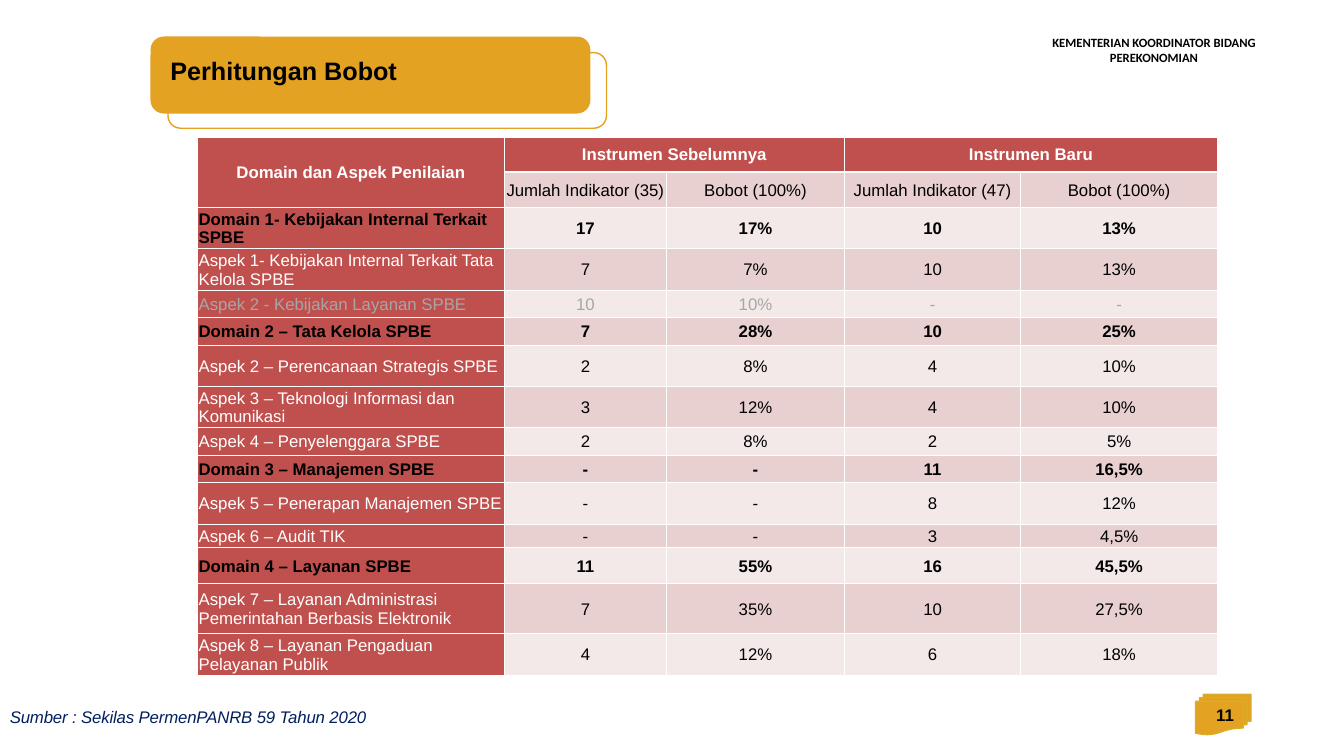
from lxml import etree
from pptx import Presentation
from pptx import util as u
from pptx.dml import color
from pptx.enum import shapes, text
from pptx.oxml import ns

Pt = u.Pt
GOLD, RED, WHITE, BLACK, GREY = "E3A221", "C0504D", "FFFFFF", "000000", "A6A6A6"
BANDS = ("F4E9E9", "E8D0D0")
CENTER, RIGHT, LEFT = text.PP_ALIGN.CENTER, text.PP_ALIGN.RIGHT, text.PP_ALIGN.LEFT

COLUMN_WIDTHS = (219, 116, 127, 126, 140.5)
ROW_HEIGHTS = (25.2, 25.2, 29.5, 29.5, 19.7, 19.7, 29.5, 29.5,
               19.7, 19.7, 29.5, 16.9, 25.7, 35.8, 29.7)
HEADINGS = [
    ("Domain dan Aspek Penilaian", "Instrumen Sebelumnya", "", "Instrumen Baru", ""),
    ("", "Jumlah Indikator (35)", "Bobot (100%)", "Jumlah Indikator (47)", "Bobot (100%)"),
]
WEIGHTS = [
    ("Domain 1- Kebijakan Internal Terkait SPBE", "17", "17%", "10", "13%"),
    ("Aspek 1- Kebijakan Internal Terkait Tata Kelola SPBE", "7", "7%", "10", "13%"),
    ("Aspek 2 - Kebijakan Layanan SPBE", "10", "10%", "-", "-"),
    ("Domain 2 – Tata Kelola SPBE", "7", "28%", "10", "25%"),
    ("Aspek 2 – Perencanaan Strategis SPBE", "2", "8%", "4", "10%"),
    ("Aspek 3 – Teknologi Informasi dan Komunikasi", "3", "12%", "4", "10%"),
    ("Aspek 4 – Penyelenggara SPBE", "2", "8%", "2", "5%"),
    ("Domain 3 – Manajemen SPBE", "-", "-", "11", "16,5%"),
    ("Aspek 5 – Penerapan Manajemen SPBE", "-", "-", "8", "12%"),
    ("Aspek 6 – Audit TIK", "-", "-", "3", "4,5%"),
    ("Domain 4 – Layanan SPBE", "11", "55%", "16", "45,5%"),
    ("Aspek 7 – Layanan Administrasi Pemerintahan Berbasis Elektronik",
     "7", "35%", "10", "27,5%"),
    ("Aspek 8 – Layanan Pengaduan Pelayanan Publik", "4", "12%", "6", "18%"),
]
DROPPED_ASPECT = "Aspek 2 - Kebijakan Layanan SPBE"


def rgb(value):
    return color.RGBColor.from_string(value)


def write(frame, words, size, ink=BLACK, align=LEFT, font="Arial", bold=False, italic=False):
    paragraph = frame.paragraphs[0]
    paragraph.alignment = align
    run = paragraph.add_run()
    run.text = words
    run.font.name, run.font.size = font, Pt(size)
    run.font.bold, run.font.italic = bold, italic
    run.font.color.rgb = rgb(ink)
    return run


def text_box(slide, left, top, width, height):
    frame = slide.shapes.add_textbox(Pt(left), Pt(top), Pt(width), Pt(height)).text_frame
    frame.word_wrap = True
    return frame


def gold_shape(slide, kind, left, top, width, height, filled=True, edge=GOLD):
    shape = slide.shapes.add_shape(kind, Pt(left), Pt(top), Pt(width), Pt(height))
    shape.shadow.inherit = False
    if filled:
        shape.fill.solid()
        shape.fill.fore_color.rgb = rgb(GOLD)
    else:
        shape.fill.background()
    shape.line.color.rgb = rgb(edge)
    shape.line.width = Pt(1)


def add_banner(slide, left, top, width, height):
    # Gold tab with its offset outline
    rounded = shapes.MSO_SHAPE.ROUNDED_RECTANGLE
    gold_shape(slide, rounded, left, top, width, height)
    gold_shape(slide, rounded, left + 12, top + 11, width, height, filled=False)

    # Title, brought in front of the tab
    title = slide.shapes.title
    title.left, title.top = Pt(left + 6.5), Pt(top + 9.5)
    title.width, title.height = Pt(178), Pt(29)
    title.element.getparent().append(title.element)
    frame = title.text_frame
    frame.word_wrap = False
    frame.auto_size = text.MSO_AUTO_SIZE.NONE
    frame.vertical_anchor = text.MSO_ANCHOR.TOP
    write(frame, "Perhitungan Bobot", 18, bold=True)


def add_ministry(slide, left, top, width, height):
    frame = text_box(slide, left, top, width, height)
    write(frame, "KEMENTERIAN KOORDINATOR BIDANG PEREKONOMIAN", 9,
          align=CENTER, font="Calibri", bold=True)


def set_borders(cell, **widths):
    properties = cell._tc.get_or_add_tcPr()
    for side in "LRTB":
        line = etree.SubElement(properties, ns.qn(f"a:ln{side}"),
                                w=str(Pt(widths.get(side, 1))))
        fill = etree.SubElement(line, ns.qn("a:solidFill"))
        etree.SubElement(fill, ns.qn("a:srgbClr"), val=WHITE)


def add_weight_table(slide, left, top):
    rows = HEADINGS + WEIGHTS
    table = slide.shapes.add_table(len(rows), len(COLUMN_WIDTHS), Pt(left), Pt(top),
                                   Pt(sum(COLUMN_WIDTHS)), Pt(sum(ROW_HEIGHTS))).table
    for column, width in zip(table.columns, COLUMN_WIDTHS):
        column.width = Pt(width)
    for row, height in zip(table.rows, ROW_HEIGHTS):
        row.height = Pt(height)

    for r, row in enumerate(rows):
        domain = row[0].startswith("Domain ") and r > 1
        dropped = row[0] == DROPPED_ASPECT
        for c, words in enumerate(row):
            cell = table.cell(r, c)
            heading = r == 0
            label = c == 0
            cell.margin_left = cell.margin_right = cell.margin_top = Pt(0.7)
            cell.margin_bottom = 0
            cell.vertical_anchor = text.MSO_ANCHOR.MIDDLE
            # Heavier rule between the two heading rows
            if heading and not label:
                set_borders(cell, B=1.5)
            elif r == 1 and not label:
                set_borders(cell, T=1.5)
            else:
                set_borders(cell)
            cell.fill.solid()
            cell.fill.fore_color.rgb = rgb(RED if heading or label else BANDS[r % 2])
            if not words:
                continue
            if dropped:
                ink = GREY
            elif heading or (label and not domain):
                ink = WHITE
            else:
                ink = BLACK
            write(cell.text_frame, words, 12, ink,
                  LEFT if label and not heading else CENTER, bold=heading or domain)

    # Spanning headings
    table.cell(0, 0).merge(table.cell(1, 0))
    for c in (1, 3):
        table.cell(0, c).merge(table.cell(0, c + 1))


def add_source(slide, left, top, width, height):
    frame = text_box(slide, left, top, width, height)
    frame.margin_left = frame.margin_right = frame.margin_bottom = 0
    frame.margin_top = Pt(0.7)
    run = write(frame, "Sumber : Sekilas PermenPANRB 59 Tahun 2020", 12,
                "001F5F", italic=True)
    run.font._element.set("spc", "-10")


def add_page_number(slide, left, top, width, height):
    gold_shape(slide, shapes.MSO_SHAPE.FLOWCHART_MULTIDOCUMENT,
               left, top, width, height, edge="DCAB27")
    frame = text_box(slide, left - 181.5, top, 216, height)
    frame.vertical_anchor = text.MSO_ANCHOR.MIDDLE
    write(frame, "11", 12, align=RIGHT, bold=True)


def main():
    deck = Presentation()
    deck.slide_width, deck.slide_height = Pt(960), Pt(540)
    slide = deck.slides.add_slide(deck.slide_layouts[5])
    add_ministry(slide, 722, 21.6, 204.5, 36.7)
    add_banner(slide, 108, 26.6, 313.2, 54)
    add_page_number(slide, 854, 496, 39.6, 28.8)
    add_weight_table(slide, 141.2, 97.8)
    add_source(slide, 7, 504, 708, 26)
    deck.save("out.pptx")


if __name__ == "__main__":
    main()
